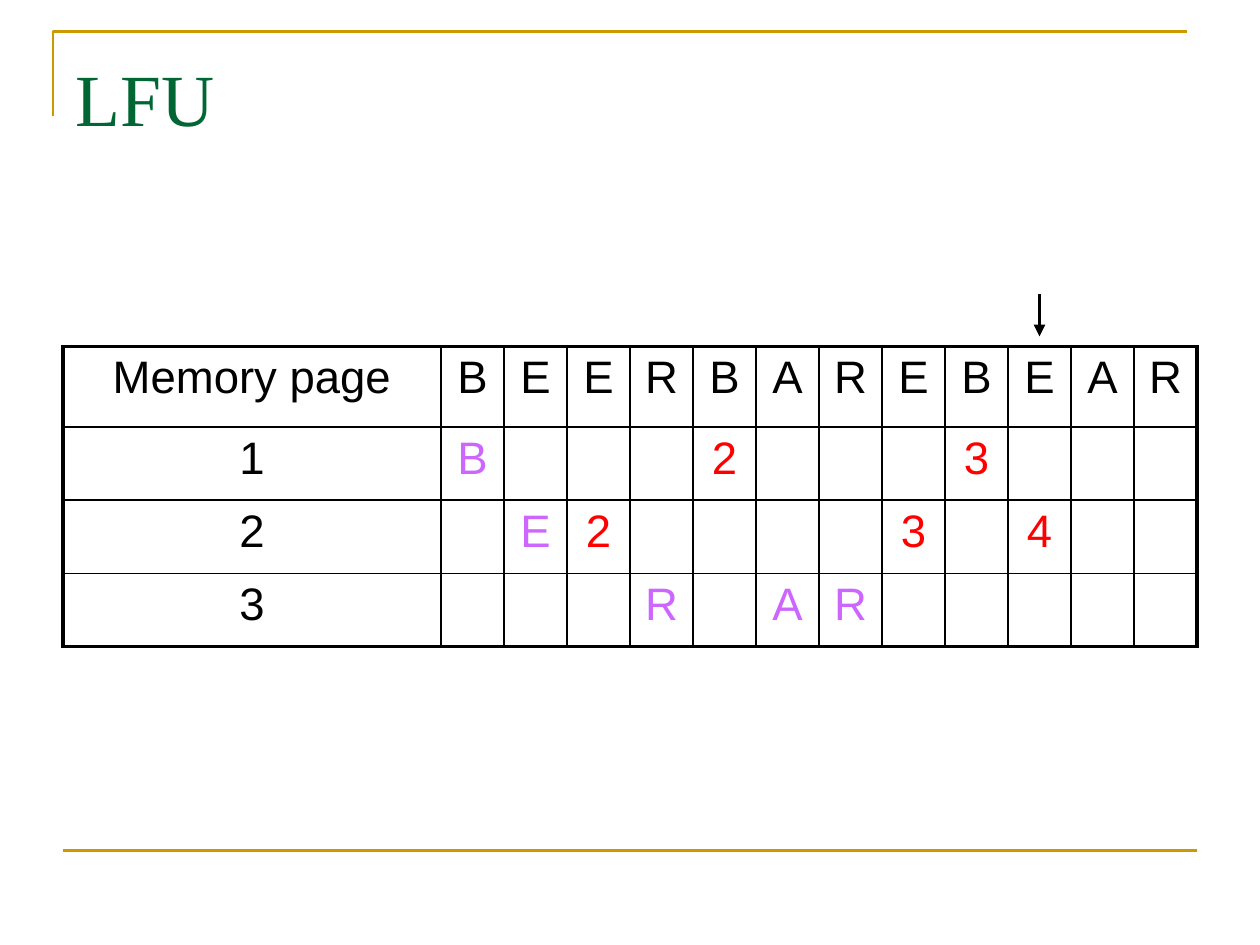
from lxml import etree
from pptx import Presentation
from pptx.dml.color import RGBColor
from pptx.enum.shapes import MSO_CONNECTOR
from pptx.enum.text import MSO_ANCHOR, PP_ALIGN
from pptx.oxml.ns import qn
from pptx.util import Inches, Pt

STRAIGHT = MSO_CONNECTOR.STRAIGHT
TOP = MSO_ANCHOR.TOP
CENTER = PP_ALIGN.CENTER

BLACK, GOLD, GREEN = "000000", "CC9900", "006633"
LOADED, HIT = "CC66FF", "FF0000"
THIN, THICK = 1, 2.25

REFERENCES = "BEERBAREBEAR"
# For each memory page: reference number -> what happens there
EVENTS = [
    {1: "B", 5: "2", 9: "3"},
    {2: "E", 3: "2", 8: "3", 10: "4"},
    {4: "R", 6: "A", 7: "R"},
]
CURRENT_REFERENCE = 10
LABEL_WIDTH, STEP_WIDTH = 3, 0.5
HEADER_HEIGHT, ROW_HEIGHT = 0.64, 0.58


def color(value):
    return RGBColor.from_string(value)


def add_span(para, text, font, size, value):
    span = para.add_run()
    span.text = text
    span.font.name = font
    span.font.size = Pt(size)
    span.font.color.rgb = color(value)


def add_line(page, start, end, value, width, arrow=False):
    line = page.shapes.add_connector(
        STRAIGHT, *(Inches(length) for length in (*start, *end)))
    line.line.color.rgb = color(value)
    line.line.width = Pt(width)
    if arrow:
        etree.SubElement(line.line._get_or_add_ln(), qn("a:tailEnd"), type="triangle")
    etree.SubElement(line._element.spPr, qn("a:effectLst"))


def add_frame(page, left, top, width, height):
    """Draw the corner bracket at the top of the page."""
    builder = page.shapes.build_freeform(Inches(left), Inches(top + height))
    builder.add_line_segments(
        [(Inches(left), Inches(top)), (Inches(left + width), Inches(top))], close=False)
    bracket = builder.convert_to_shape()
    bracket.shadow.inherit = False
    bracket.fill.background()
    bracket.line.color.rgb = color(GOLD)
    bracket.line.width = Pt(1.5)


def add_title(page, left, top, width, height):
    box = page.shapes.add_textbox(
        Inches(left), Inches(top), Inches(width), Inches(height))
    frame = box.text_frame
    frame.word_wrap = True
    frame.vertical_anchor = TOP
    frame.margin_top = Inches(0.12)
    add_span(frame.paragraphs[0], "LFU", "Times New Roman", 42, GREEN)


def set_borders(cell, widths):
    """Draw the cell borders; widths maps L, R, T and B to points."""
    properties = cell._tc.get_or_add_tcPr()
    for index, side in enumerate("LRTB"):
        border = etree.Element(qn(f"a:ln{side}"), w=str(Pt(widths[side])))
        fill = etree.SubElement(border, qn("a:solidFill"))
        etree.SubElement(fill, qn("a:srgbClr"), val=BLACK)
        properties.insert(index, border)


def cell_content(row, column):
    """Return the text of a cell and its colour."""
    if row == 0:
        return (REFERENCES[column - 1] if column else "Memory page"), BLACK
    if column == 0:
        return str(row), BLACK
    text = EVENTS[row - 1].get(column, "")
    return text, HIT if text.isdigit() else LOADED


def add_page_table(page, left, top):
    row_count, column_count = len(EVENTS) + 1, len(REFERENCES) + 1
    width = LABEL_WIDTH + STEP_WIDTH * len(REFERENCES)
    height = HEADER_HEIGHT + ROW_HEIGHT * len(EVENTS)
    table = page.shapes.add_table(
        row_count, column_count,
        Inches(left), Inches(top), Inches(width), Inches(height)).table
    for index, column in enumerate(table.columns):
        column.width = Inches(STEP_WIDTH if index else LABEL_WIDTH)
    for index, row in enumerate(table.rows):
        row.height = Inches(ROW_HEIGHT if index else HEADER_HEIGHT)

    for row in range(row_count):
        for column in range(column_count):
            cell = table.cell(row, column)
            cell.fill.background()
            set_borders(cell, {
                "L": THICK if column == 0 else THIN,
                "R": THICK if column == column_count - 1 else THIN,
                "T": THICK if row == 0 else THIN,
                "B": THICK if row == row_count - 1 else THIN,
            })
            text, value = cell_content(row, column)
            if text:
                para = cell.text_frame.paragraphs[0]
                para.alignment = CENTER
                add_span(para, text, "Arial", 26, value)


def add_current_marker(page, left, top):
    """Point an arrow at the current reference of the table at left, top."""
    x = left + LABEL_WIDTH + STEP_WIDTH * (CURRENT_REFERENCE - 0.5)
    add_line(page, (x, top - 0.42), (x, top - 0.08), BLACK, 2.25, arrow=True)


def main():
    deck = Presentation()
    deck.slide_width, deck.slide_height = Inches(10), Inches(7.5)
    page = deck.slides.add_slide(deck.slide_layouts[6])
    add_frame(page, 0.42, 0.25, 9, 0.67)
    add_line(page, (0.5, 6.75), (9.5, 6.75), GOLD, 1.5)
    add_title(page, 0.5, 0.3, 9, 1.25)
    add_page_table(page, 0.5, 2.75)
    add_current_marker(page, 0.5, 2.75)
    deck.save("out.pptx")


if __name__ == "__main__":
    main()
